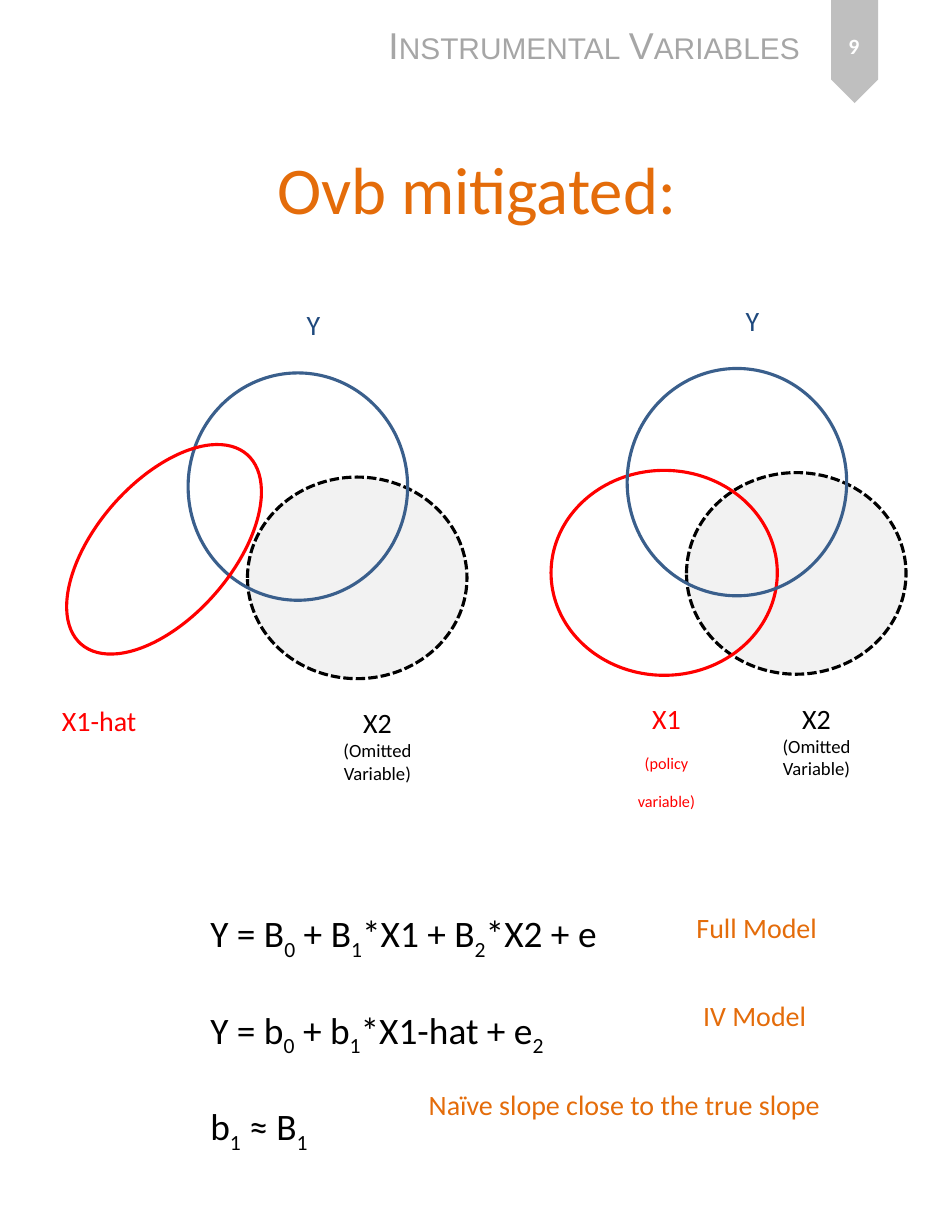
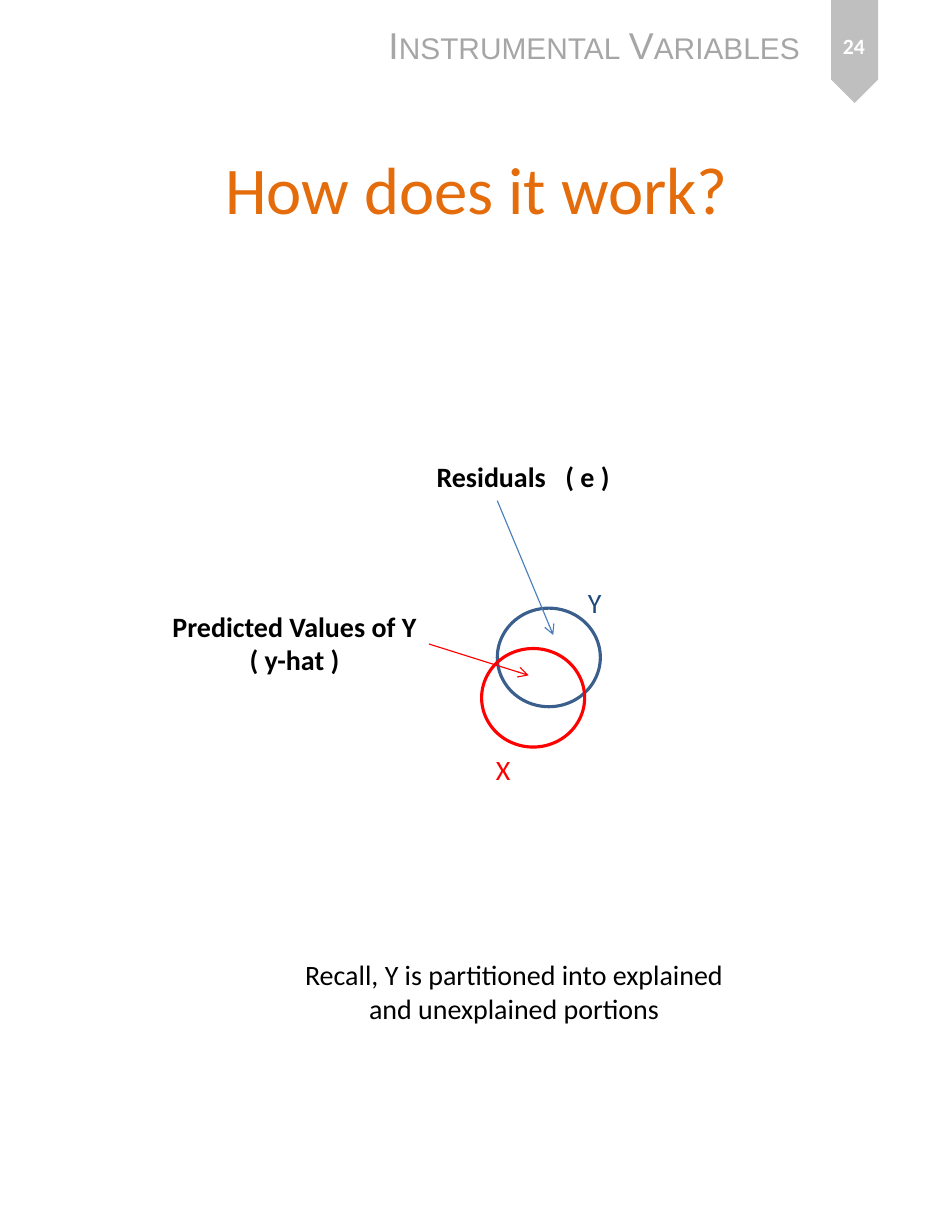
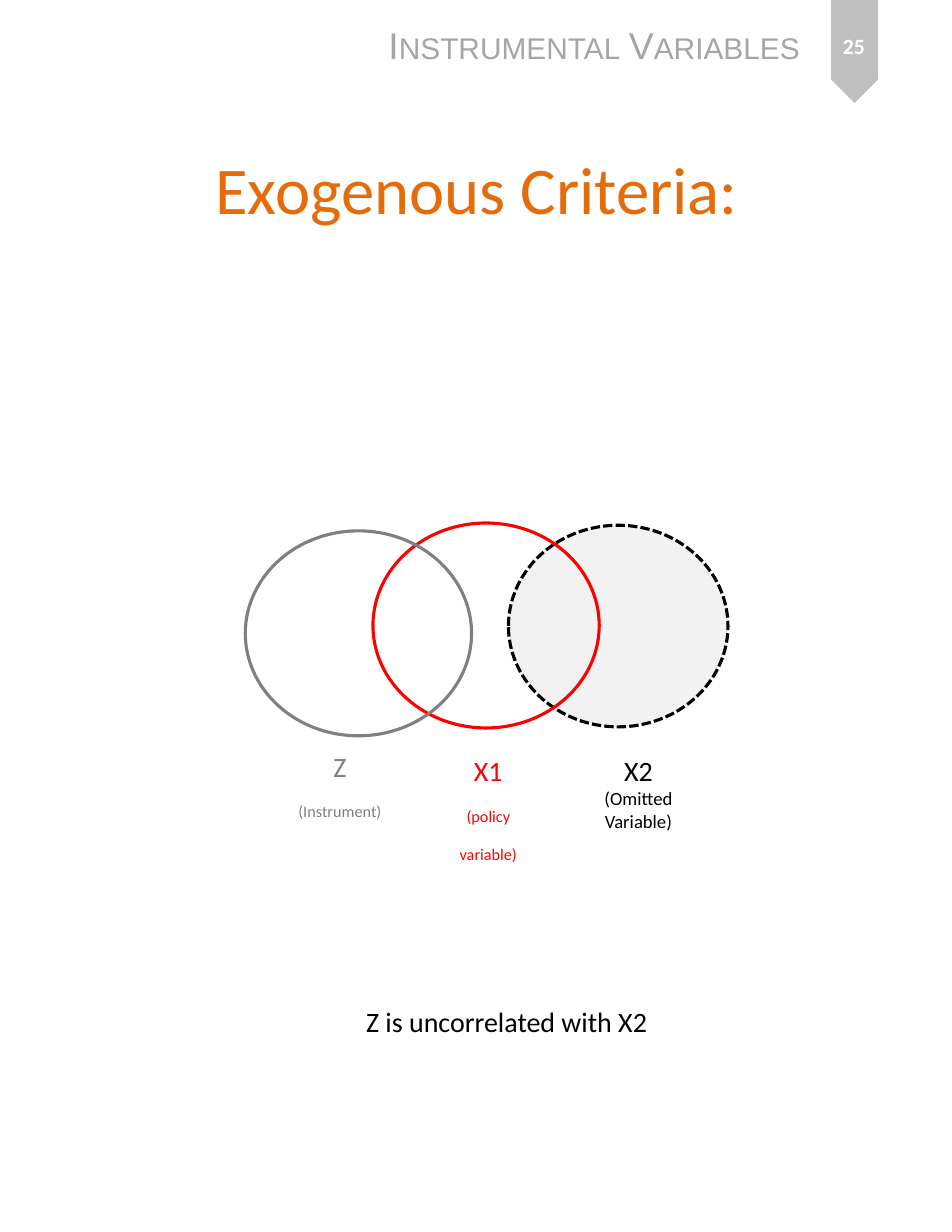
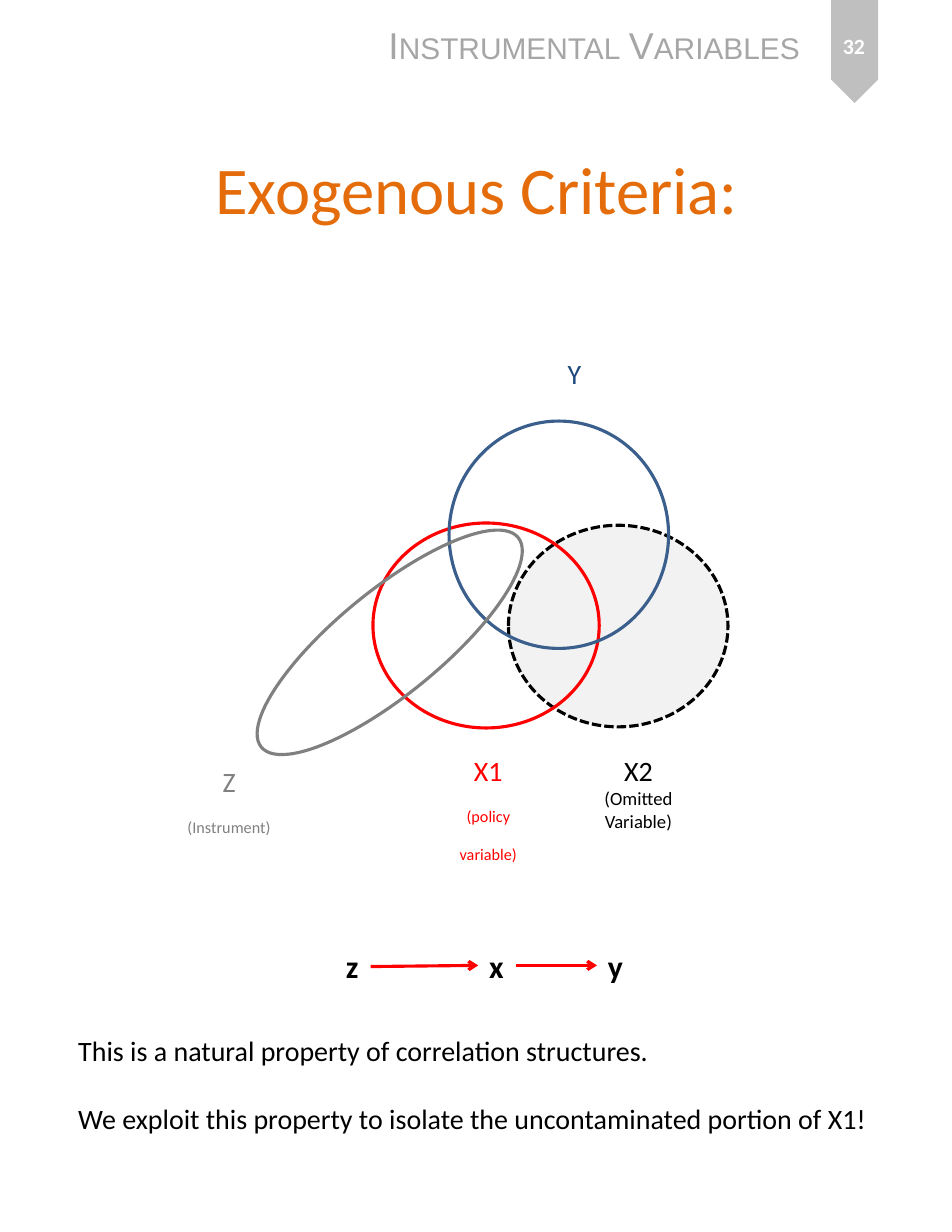
from lxml import etree
from pptx import Presentation
from pptx.dml.color import RGBColor
from pptx.enum import dml, shapes, text
from pptx.oxml import ns
from pptx.util import Inches, Pt

ORANGE = RGBColor(0xE4, 0x6C, 0x0A)
RED = RGBColor(0xFF, 0x00, 0x00)
BLUE = RGBColor(0x3A, 0x5F, 0x8C)
NAVY = RGBColor(0x1F, 0x49, 0x7D)
ARROW_BLUE = RGBColor(0x4B, 0x7E, 0xBC)
GRAY = RGBColor(0x80, 0x80, 0x80)
BAND = RGBColor(0xBF, 0xBF, 0xBF)
HEADER = RGBColor(0xA6, 0xA6, 0xA6)
PALE = RGBColor(0xF2, 0xF2, 0xF2)
BLACK = RGBColor(0x00, 0x00, 0x00)
WHITE = RGBColor(0xFF, 0xFF, 0xFF)
LEFT, CENTER = text.PP_ALIGN.LEFT, text.PP_ALIGN.CENTER


def add_label(page, at, lines, color=BLACK, size=18, bold=False,
              align=LEFT, wrap=False, gap=0, font="Calibri"):
    """Text between tildes is set as subscript."""
    box = page.shapes.add_textbox(*map(Inches, at))
    frame = box.text_frame
    frame.word_wrap = wrap
    for number, line in enumerate(lines):
        para = frame.add_paragraph() if number else frame.paragraphs[0]
        para.alignment = align
        para.space_before = Pt(gap if number else 0)
        para.font.name, para.font.size = font, Pt(size)
        para.font.bold, para.font.color.rgb = bold, color
        for index, piece in enumerate(line.split("~")):
            if piece:
                span = para.add_run()
                span.text = piece
                if index % 2:
                    span._r.get_or_add_rPr().set("baseline", "-25000")
    return box


def add_oval(page, at, color, rotation=0, omitted=False):
    oval = page.shapes.add_shape(shapes.MSO_SHAPE.OVAL, *map(Inches, at))
    oval.shadow.inherit = False
    oval.rotation = rotation
    oval.line.color.rgb = color
    oval.line.width = Pt(2)
    if omitted:
        oval.fill.solid()
        oval.fill.fore_color.rgb = PALE
        oval.line.dash_style = dml.MSO_LINE.SQUARE_DOT
    else:
        oval.fill.background()


deck = Presentation()
deck.slide_width, deck.slide_height = Inches(8.5), Inches(11)
layout = deck.slide_layouts[5]

pages = []
for number, title in [(9, "Ovb mitigated:"), (24, "How does it work?"),
                      (25, "Exogenous Criteria:"), (32, "Exogenous Criteria:")]:
    page = deck.slides.add_slide(layout)
    pages.append(page)
    heading = page.shapes.title
    heading.left, heading.top, heading.width, heading.height = map(
        Inches, (0.43, 1.27, 7.65, 1.83))
    frame = heading.text_frame
    frame.text = title
    frame.auto_size = text.MSO_AUTO_SIZE.NONE
    frame.vertical_anchor = text.MSO_ANCHOR.TOP
    para = frame.paragraphs[0]
    para.alignment = CENTER
    para.font.name, para.font.size = "Calibri", Pt(42.9)
    para.font.color.rgb = ORANGE
    badge = add_label(page, (7.29, 0.11, 0.67, 0.59), [str(number)], WHITE, 14,
                      bold=True, align=CENTER, wrap=True)
    badge.text_frame.vertical_anchor = text.MSO_ANCHOR.MIDDLE

mitigated, mechanism, instrument, chain = pages

ribbon = mitigated.shapes.add_shape(
    shapes.MSO_SHAPE.PENTAGON, *map(Inches, (7.17, 0.25, 0.92, 0.42)))
ribbon.rotation = 90
ribbon.shadow.inherit = False
ribbon.fill.solid()
ribbon.fill.fore_color.rgb = BAND
ribbon.line.fill.background()
course = add_label(mitigated, (3.37, 0.15, 3.89, 0.5),
                   ["Instrumental Variables"], HEADER, 24, font="Arial")
course.text_frame.paragraphs[0].runs[0]._r.get_or_add_rPr().set("cap", "small")
for shape_id, shape in enumerate((ribbon, course), 20):
    shape.element.xpath("./p:nvSpPr/p:cNvPr")[0].set("id", str(shape_id))
    layout.shapes.element.append(shape.element)

venn_sets = {
    "X2": ((6.13, 4.22, 1.96, 1.8), BLACK, (6.58, 6.21, 1.42, 0.81),
           ["X2", "(Omitted Variable)"], BLACK, CENTER),
    "X1": ((4.92, 4.2, 2.02, 1.83), RED, (5.54, 6.21, 0.82, 0.81),
           ["X1", "~(policy variable)~"], RED, CENTER),
    "Y": ((5.6, 3.29, 1.96, 2.03), BLUE, (6.56, 2.66, 0.48, 0.4),
          ["Y"], NAVY, LEFT),
}
for page, dx, dy, names in [(mitigated, -3.92, 0.04, ("X2", "Y")),
                            (mitigated, 0, 0, ("X2", "X1", "Y")),
                            (instrument, -1.59, 0.47, ("X2", "X1")),
                            (chain, -1.59, 0.47, ("X2", "X1", "Y"))]:
    for name in names:
        oval_at, line_color, label_at, lines, color, align = venn_sets[name]
        oval_at, label_at = [(x + dx, y + dy, w, h)
                             for x, y, w, h in (oval_at, label_at)]
        add_oval(page, oval_at, line_color, omitted=name == "X2")
        label = add_label(page, label_at, lines, color, align=align, wrap=True)
        if name == "X2":
            label.text_frame.paragraphs[1].font.size = Pt(12)

add_oval(mitigated, (0.86, 3.78, 1.21, 2.25), RED, rotation=41.2)
add_label(mitigated, (0.29, 6.23, 1.19, 0.4), ["X1-hat"], RED,
          align=CENTER, wrap=True)
add_label(mitigated, (1.78, 8.08, 3.73, 1.99),
          ["Y = B~0~ + B~1~*X1 + B~2~*X2 + e",
           "Y = b~0~ + b~1~*X1-hat + e~2~",
           "b~1~ ≈ B~1~"], size=24, gap=29.3)
for at, line in [((6.12, 8.08, 1.29, 0.4), "Full Model"),
                 ((6.18, 8.87, 1.13, 0.4), "IV Model"),
                 ((3.73, 9.66, 3.74, 0.4), "Naïve slope close to the true slope")]:
    add_label(mitigated, at, [line], ORANGE)

add_oval(mechanism, (4.44, 5.43, 0.92, 0.88), BLUE)
add_oval(mechanism, (4.3, 5.79, 0.92, 0.88), RED)
add_label(mechanism, (5.15, 5.18, 0.48, 0.4), ["Y"], NAVY, wrap=True)
add_label(mechanism, (4.33, 6.67, 0.82, 0.4), ["X"], RED, wrap=True)
residuals = add_label(mechanism, (3.8, 4.05, 1.76, 0.4),
                      ["Residuals\t( e )"], bold=True)
properties = residuals.text_frame.paragraphs[0]._p.get_or_add_pPr()
tabs = etree.Element(ns.qn("a:tabLst"))
etree.SubElement(tabs, ns.qn("a:tab"), pos=str(Inches(1.15)), algn="l")
properties.find(ns.qn("a:defRPr")).addprevious(tabs)
add_label(mechanism, (1.43, 5.39, 2.4, 0.71),
          ["Predicted Values of Y", "( y-hat )"], bold=True, align=CENTER)
add_label(mechanism, (2.58, 8.5, 4.02, 0.71),
          ["Recall, Y is partitioned into explained and unexplained portions"],
          align=CENTER, wrap=True)

add_oval(instrument, (2.19, 4.74, 2.02, 1.83), GRAY)
add_oval(chain, (2, 5.27, 2.96, 0.93), GRAY, rotation=320.8)
for page, left, top in [(instrument, 2.41, 6.64), (chain, 1.42, 6.78)]:
    add_label(page, (left, top, 1.25, 0.61), ["Z", "~(Instrument)~"], GRAY,
              align=CENTER, wrap=True)
add_label(instrument, (3.17, 8.92, 2.74, 0.4), ["Z is uncorrelated with X2"])

for left, letter in [(2.99, "z"), (4.27, "x"), (5.33, "y")]:
    add_label(chain, (left, 8.4, 0.33, 0.44), [letter], size=20.4, bold=True)
add_label(chain, (0.6, 9.18, 7.32, 1.01),
          ["This is a natural property of correlation structures.",
           "We exploit this property to isolate the uncontaminated portion of X1!"],
          gap=22)

for page, ends, color, width in [
        (mechanism, (4.44, 4.47, 4.94, 5.67), ARROW_BLUE, 0.75),
        (mechanism, (3.83, 5.75, 4.72, 6.03), RED, 0.75),
        (chain, (3.31, 8.63, 4.27, 8.62), RED, 2),
        (chain, (4.61, 8.62, 5.33, 8.62), RED, 2)]:
    arrow = page.shapes.add_connector(shapes.MSO_CONNECTOR.STRAIGHT,
                                      *map(Inches, ends))
    arrow.line.color.rgb = color
    arrow.line.width = Pt(width)
    etree.SubElement(arrow.line._get_or_add_ln(), ns.qn("a:tailEnd"), type="arrow")
    etree.SubElement(arrow.element.spPr, ns.qn("a:effectLst"))

deck.save("out.pptx")
